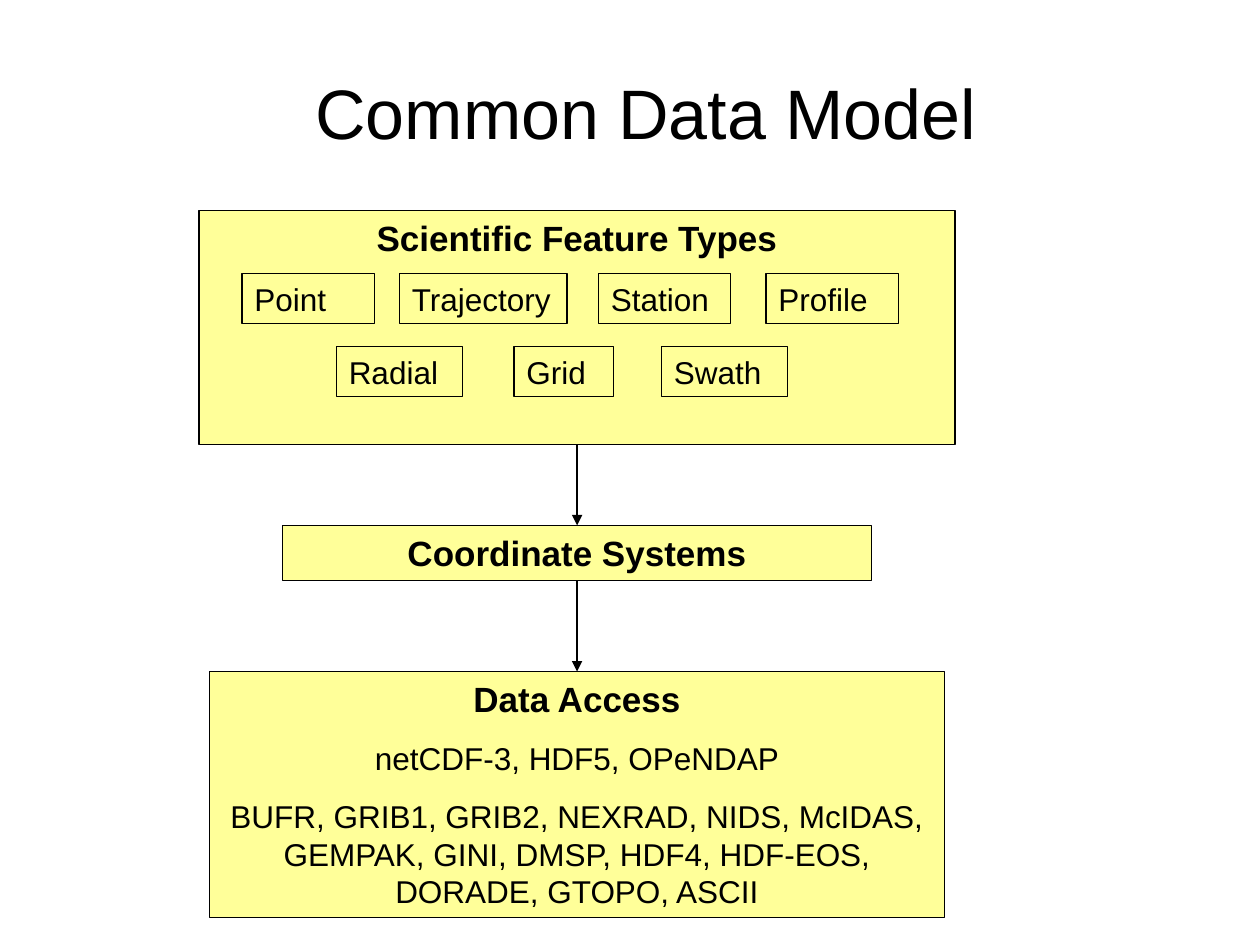
"""Build the Common Data Model layer diagram slide."""
from lxml.etree import SubElement
from pptx import Presentation
from pptx.dml.color import RGBColor
from pptx.enum.shapes import MSO_CONNECTOR, MSO_SHAPE
from pptx.enum.text import MSO_ANCHOR, PP_ALIGN
from pptx.oxml.ns import qn
from pptx.util import Inches, Pt

COLORS = {"layer": "FFFF99", "ink": "000000"}
FONT = "Arial"
CENTER_X = 4.58
TITLE = ("Common Data Model", (1.25, 0.5, 7.75, 0.77))
LAYERS = [
    ("Scientific Feature Types", [], (1.67, 6, 1.86)),
    ("Coordinate Systems", [], (4.17, 4.67, 0.44)),
    ("Data Access", [
        "netCDF-3, HDF5, OPeNDAP",
        "BUFR, GRIB1, GRIB2, NEXRAD, NIDS, McIDAS, GEMPAK, GINI, DMSP, "
        "HDF4, HDF-EOS, DORADE, GTOPO, ASCII",
    ], (5.33, 5.83, 1.95)),
]
FEATURE_HEIGHT = 0.4
FEATURE_ROWS = [
    (2.17, [("Point", 1.92, 1.05), ("Trajectory", 3.17, 1.33),
            ("Station", 4.75, 1.05), ("Profile", 6.08, 1.05)]),
    (2.75, [("Radial", 2.67, 1), ("Grid", 4.08, 0.79), ("Swath", 5.25, 1)]),
]


def rgb(name):
    return RGBColor.from_string(COLORS[name])


def write(sp, lines, align):
    tf = sp.text_frame
    tf.word_wrap = True
    tf.vertical_anchor = MSO_ANCHOR.TOP
    for i, (text, size, bold) in enumerate(lines):
        p = tf.paragraphs[0] if i == 0 else tf.add_paragraph()
        p.text = text
        p.alignment = align
        if i:
            p.space_before = Pt(11.2)
        p.font.name = FONT
        p.font.size = Pt(size)
        p.font.bold = bold
        p.font.color.rgb = rgb("ink")


def add_box(slide, at, lines, align, fill=None):
    sp = slide.shapes.add_shape(MSO_SHAPE.RECTANGLE, *map(Inches, at))
    sp.shadow.inherit = False
    if fill:
        sp.fill.solid()
        sp.fill.fore_color.rgb = rgb(fill)
    else:
        sp.fill.background()
    sp.line.color.rgb = rgb("ink")
    sp.line.width = Pt(0.75)
    write(sp, lines, align)
    return sp


def add_arrow(slide, upper, lower):
    x = Inches(CENTER_X)
    line = slide.shapes.add_connector(
        MSO_CONNECTOR.STRAIGHT, x, upper.top + upper.height, x, lower.top)
    line.line.color.rgb = rgb("ink")
    line.line.width = Pt(0.75)
    SubElement(line.line._get_or_add_ln(), qn("a:tailEnd"), type="triangle")
    SubElement(line._element.spPr, qn("a:effectLst"))


def main():
    prs = Presentation()
    prs.slide_width, prs.slide_height = Inches(10), Inches(7.5)
    slide = prs.slides.add_slide(prs.slide_layouts[6])

    title, at = TITLE
    write(slide.shapes.add_textbox(*map(Inches, at)),
          [(title, 40, False)], PP_ALIGN.CENTER)

    boxes = []
    for heading, details, (top, width, height) in LAYERS:
        lines = [(heading, 20, True)] + [(d, 18, False) for d in details]
        at = (CENTER_X - width / 2, top, width, height)
        boxes.append(add_box(slide, at, lines, PP_ALIGN.CENTER, "layer"))

    for top, features in FEATURE_ROWS:
        for name, left, width in features:
            add_box(slide, (left, top, width, FEATURE_HEIGHT),
                    [(name, 18, False)], PP_ALIGN.LEFT)

    for upper, lower in zip(boxes, boxes[1:]):
        add_arrow(slide, upper, lower)

    prs.save("out.pptx")


if __name__ == "__main__":
    main()
